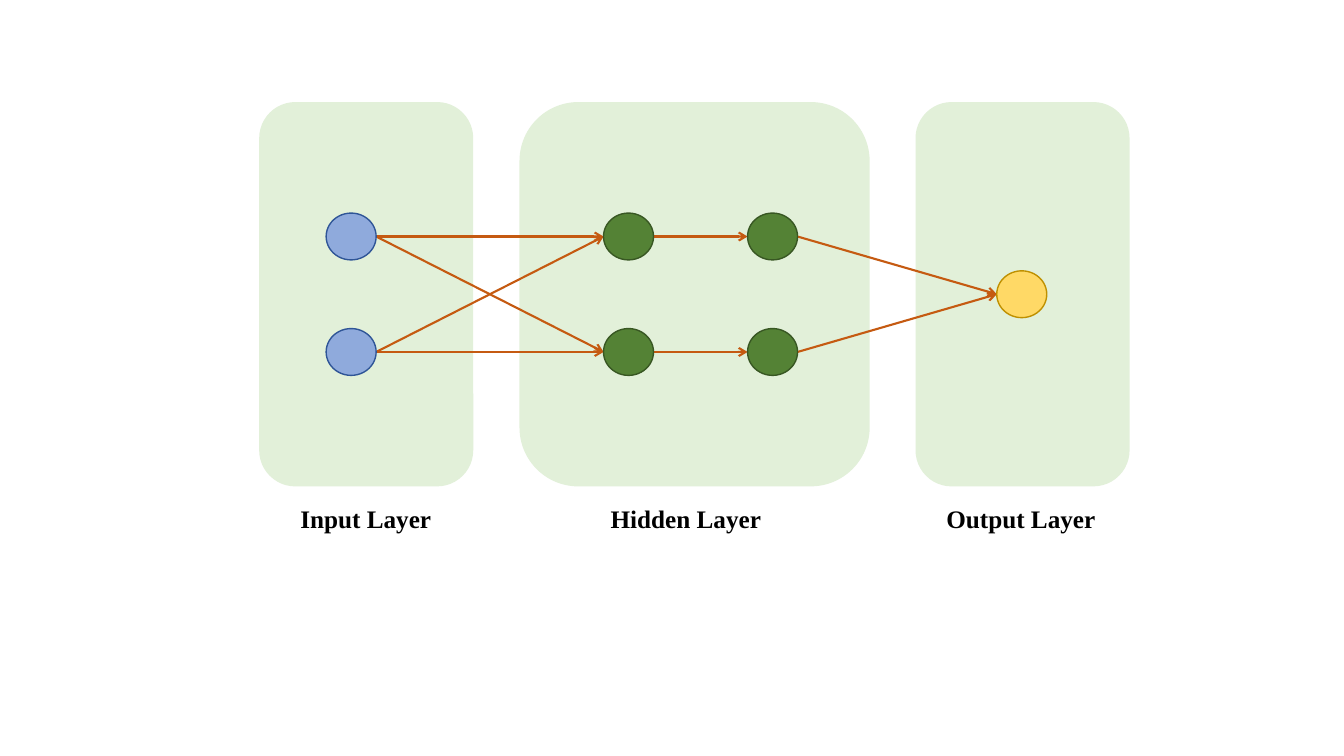
from dataclasses import dataclass
from itertools import product

from lxml import etree
from pptx import Presentation
from pptx import util as u
from pptx.dml.color import RGBColor
from pptx.enum import shapes, text
from pptx.oxml.ns import qn


@dataclass(frozen=True)
class Theme:
    """Colours, type and line sizes of the slide."""
    panel: str = "E2F0D9"
    input: tuple = ("8FAADC", "2F5597")
    hidden: tuple = ("548235", "385723")
    output: tuple = ("FFD966", "BF9000")
    link: str = "C55A11"
    ink: str = "000000"
    font: str = "Times New Roman"
    size: int = 18
    edge: float = 1
    stroke: float = 1.5


THEME = Theme()
NODE_W, NODE_H = 1.26, 1.18
TOP, LOW = 5.96, 8.87
MID = (TOP + LOW) / 2
PANEL_TOP, PANEL_H = 2.59, 9.65
LABEL_TOP, LABEL_H = 12.57, 1.02


def add_form(slide, kind, box, fill, line):
    """Add a filled preset shape; box is left, top, width, height in cm."""
    form = slide.shapes.add_shape(kind, *map(u.Cm, box))
    form.shadow.inherit = False
    form.fill.solid()
    form.fill.fore_color.rgb = RGBColor.from_string(fill)
    form.line.color.rgb = RGBColor.from_string(line)
    form.line.width = u.Pt(THEME.edge)


def add_panel(slide, left, width):
    """Add the rounded ground of one layer."""
    add_form(slide, shapes.MSO_SHAPE.ROUNDED_RECTANGLE,
             (left, PANEL_TOP, width, PANEL_H), THEME.panel, THEME.panel)


def add_node(slide, spot, tone):
    """Add a neuron centred on a spot."""
    x, y = spot
    add_form(slide, shapes.MSO_SHAPE.OVAL,
             (x - NODE_W / 2, y - NODE_H / 2, NODE_W, NODE_H), *tone)


def add_link(slide, start, end):
    """Add an arrow from the right of one neuron to the left of another."""
    (x1, y1), (x2, y2) = start, end
    ends = (x1 + NODE_W / 2, y1, x2 - NODE_W / 2, y2)
    link = slide.shapes.add_connector(shapes.MSO_CONNECTOR.STRAIGHT,
                                      *map(u.Cm, ends))
    link.line.color.rgb = RGBColor.from_string(THEME.link)
    link.line.width = u.Pt(THEME.stroke)
    etree.SubElement(link.line._get_or_add_ln(), qn("a:tailEnd"), type="arrow")
    etree.SubElement(link._element.spPr, qn("a:effectLst"))


def add_text(slide, words, left, width, *, size=THEME.size, bold=True,
             color=THEME.ink, font=THEME.font):
    """Add a one-line label under a panel."""
    box = slide.shapes.add_textbox(
        *map(u.Cm, (left, LABEL_TOP, width, LABEL_H)))
    frame = box.text_frame
    frame.word_wrap = False
    frame.auto_size = text.MSO_AUTO_SIZE.SHAPE_TO_FIT_TEXT
    run = frame.paragraphs[0].add_run()
    run.text = words
    run.font.name = font
    run.font.size = u.Pt(size)
    run.font.bold = bold
    run.font.color.rgb = RGBColor.from_string(color)


def main():
    """Build the network slide and save it."""
    deck = Presentation()
    deck.slide_width, deck.slide_height = u.Cm(33.87), u.Cm(19.05)
    slide = deck.slides.add_slide(deck.slide_layouts[6])

    for left, width in ((6.55, 5.36), (13.11, 8.79), (23.09, 5.36)):
        add_panel(slide, left, width)

    inputs, first, second = ([(x, y) for y in (TOP, LOW)]
                             for x in (8.85, 15.84, 19.47))
    output = [(25.75, MID)]

    links = [*product(inputs, first), *zip(first, second),
             *product(second, output)]
    for start, end in links:
        add_link(slide, start, end)

    for spots, tone in ((inputs, THEME.input), (first + second, THEME.hidden),
                        (output, THEME.output)):
        for spot in spots:
            add_node(slide, spot, tone)

    for words, left, width in (("Input Layer", 7.32, 3.84),
                               ("Hidden Layer", 15.14, 4.34),
                               ("Output Layer", 23.6, 4.32)):
        add_text(slide, words, left, width)

    deck.save("out.pptx")


if __name__ == "__main__":
    main()
